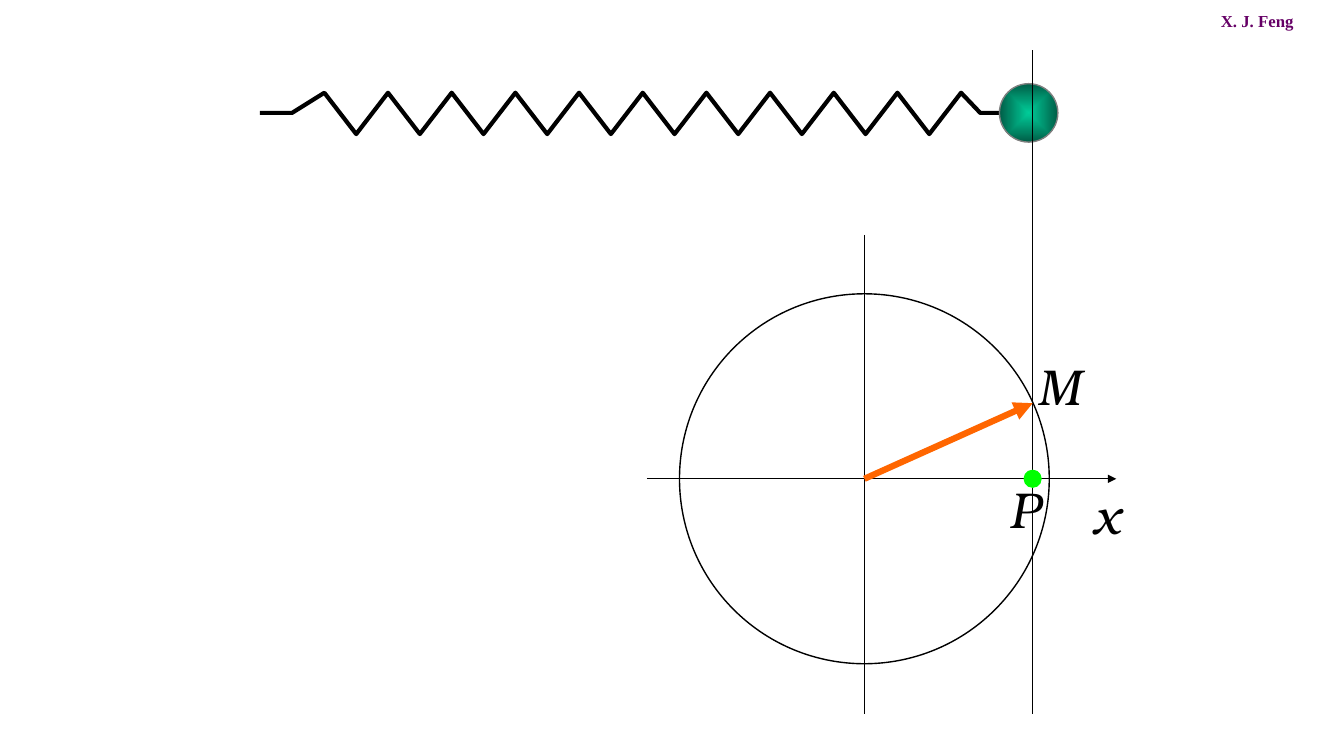
from dataclasses import dataclass

from lxml.etree import SubElement
from pptx import Presentation
from pptx.dml.color import RGBColor
from pptx.enum.shapes import MSO_CONNECTOR, MSO_SHAPE
from pptx.oxml.ns import qn
from pptx.shapes.autoshape import Shape
from pptx.util import Inches, Pt

BLACK = RGBColor(0x00, 0x00, 0x00)
GREY = RGBColor(0x80, 0x80, 0x80)
PURPLE = RGBColor(0x66, 0x00, 0x66)
ORANGE = RGBColor(0xFF, 0x66, 0x00)
GREEN = RGBColor(0x00, 0xFF, 0x00)
TEAL = RGBColor(0x00, 0xCC, 0x99)
DARK = RGBColor(0x00, 0x5E, 0x47)

MID_X, MID_Y = 8.58, 4.75
P_X = 10.25
LOW = 7.08


@dataclass
class Line:
    start: tuple[float, float]
    end: tuple[float, float]
    color: RGBColor = BLACK
    width: float = 1
    arrow: bool = False


@dataclass
class Label:
    text: str
    left: float
    top: float
    width: float
    height: float = 0.7
    font: str = "TeX Gyre Bonum"
    size: float = 36
    color: RGBColor = BLACK
    bold: bool = False
    italic: bool = True


AXIS = Line((6.42, MID_Y), (11.08, MID_Y), arrow=True)
UPRIGHT = Line((MID_X, 2.33), (MID_X, LOW))
DROP = Line((P_X, 0.5), (P_X, LOW))
VECTOR = Line((MID_X, MID_Y), (P_X, 4), ORANGE, 4.5, True)
LABELS = [
    Label("X. J. Feng", 12.02, 0.06, 1.26, 0.3, "Times New Roman", 12,
          PURPLE, True, False),
    Label("x", 10.75, 4.75, 0.47),
    Label("M", 10.2, 3.47, 0.63),
    Label("P", 9.92, 4.69, 0.5),
]

prs = Presentation()
prs.slide_width, prs.slide_height = Inches(13.34), Inches(7.5)
shapes = prs.slides.add_slide(prs.slide_layouts[6]).shapes


def add_line(line: Line) -> None:
    ends = [Inches(v) for v in line.start + line.end]
    link = shapes.add_connector(MSO_CONNECTOR.STRAIGHT, *ends)
    link.line.color.rgb = line.color
    link.line.width = Pt(line.width)
    if line.arrow:
        SubElement(link.line._get_or_add_ln(), qn("a:tailEnd"), type="triangle")
    SubElement(link._element.spPr, qn("a:effectLst"))


def add_disc(x: float, y: float, size: float, color: RGBColor,
             width: float = 1) -> Shape:
    """Add an unfilled circle centred on x, y."""
    disc = shapes.add_shape(MSO_SHAPE.OVAL, Inches(x - size / 2),
                            Inches(y - size / 2), Inches(size), Inches(size))
    disc.shadow.inherit = False
    disc.fill.background()
    disc.line.color.rgb = color
    disc.line.width = Pt(width)
    return disc


def add_label(label: Label) -> None:
    box = shapes.add_textbox(Inches(label.left), Inches(label.top),
                             Inches(label.width), Inches(label.height))
    para = box.text_frame.paragraphs[0]
    para.text = label.text
    font = para.font
    font.name, font.size = label.font, Pt(label.size)
    font.bold, font.italic = label.bold, label.italic
    font.color.rgb = label.color


def add_spring() -> None:
    rest, high, low = 1.12, 0.92, 1.33
    coils = [(3.22 + 0.316 * i, low if i % 2 else high) for i in range(21)]
    points = [(2.9, rest), *coils, (9.73, rest), (9.92, rest)]
    path = shapes.build_freeform(Inches(2.58), Inches(rest))
    path.add_line_segments([(Inches(x), Inches(y)) for x, y in points],
                           close=False)
    spring = path.convert_to_shape()
    spring.shadow.inherit = False
    spring.fill.background()
    spring.line.color.rgb = BLACK
    spring.line.width = Pt(3)


def add_ball() -> None:
    ball = add_disc(10.21, 1.12, 0.58, GREY)
    ball.fill.gradient()
    for stop, color, place in zip(ball.fill.gradient_stops, (TEAL, DARK), (0, 1)):
        stop.color.rgb = color
        stop.position = place
    grad = ball._element.spPr.find(qn("a:gradFill"))
    grad.remove(grad.find(qn("a:lin")))
    focus = SubElement(grad, qn("a:path"), path="rect")
    SubElement(focus, qn("a:fillToRect"),
               {side: "50000" for side in ("l", "t", "r", "b")})


def main() -> None:
    add_spring()
    add_ball()
    add_line(DROP)
    add_disc(MID_X, MID_Y, 3.67, BLACK)
    for line in (AXIS, UPRIGHT, VECTOR):
        add_line(line)
    for label in LABELS:
        add_label(label)
    dot = add_disc(P_X, MID_Y, 0.17, GREEN, 0.75)
    dot.fill.solid()
    dot.fill.fore_color.rgb = GREEN
    prs.save("out.pptx")


if __name__ == "__main__":
    main()
